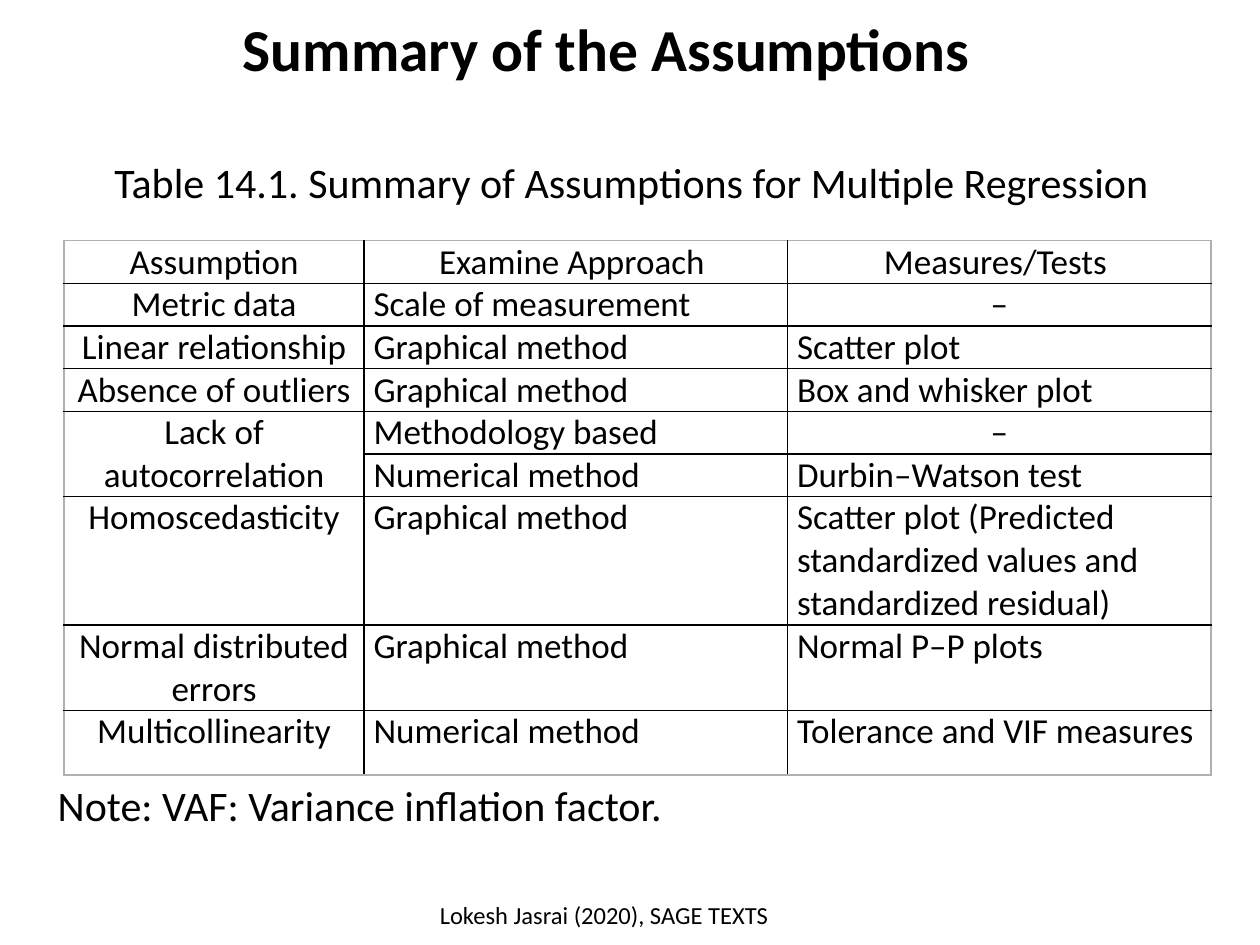
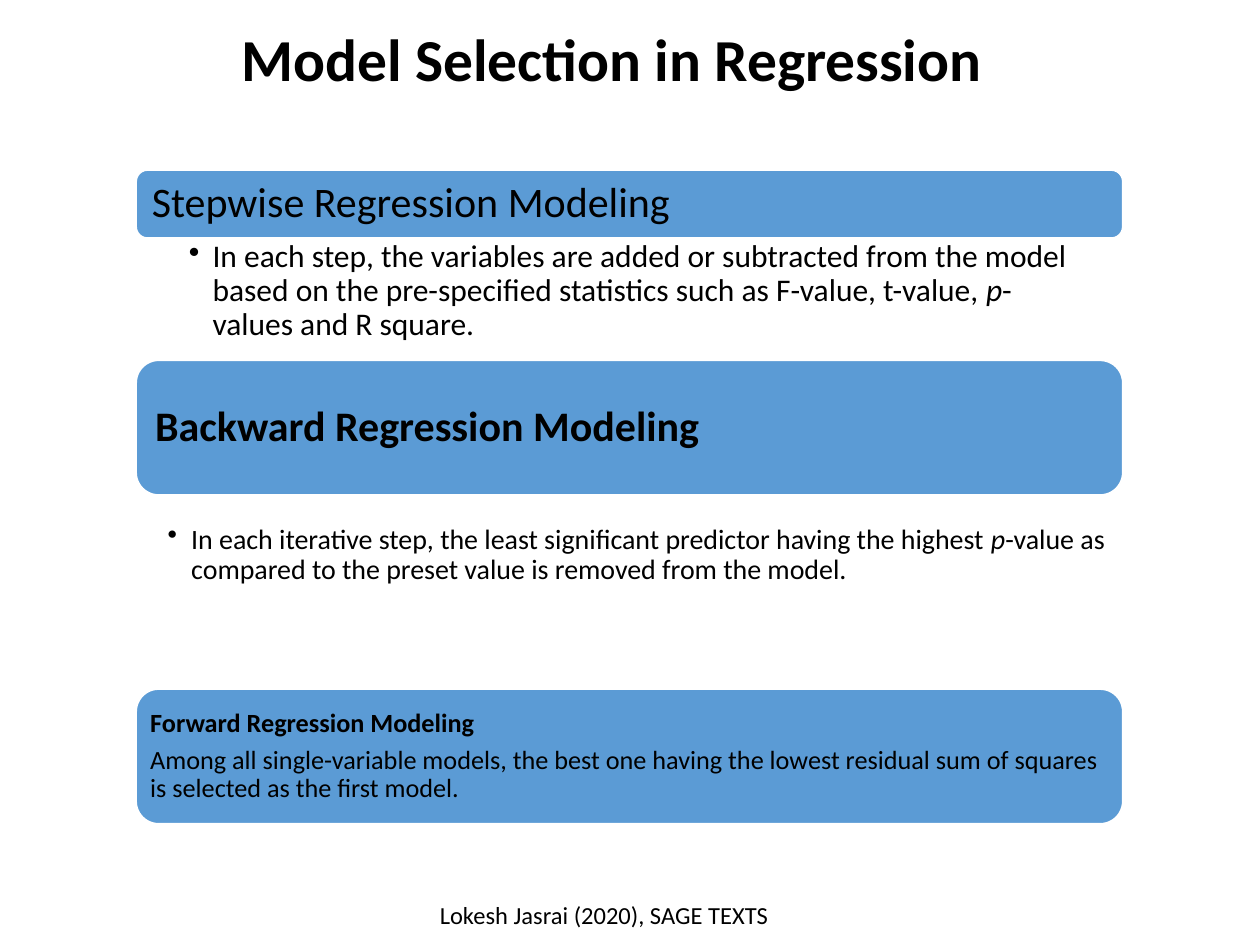
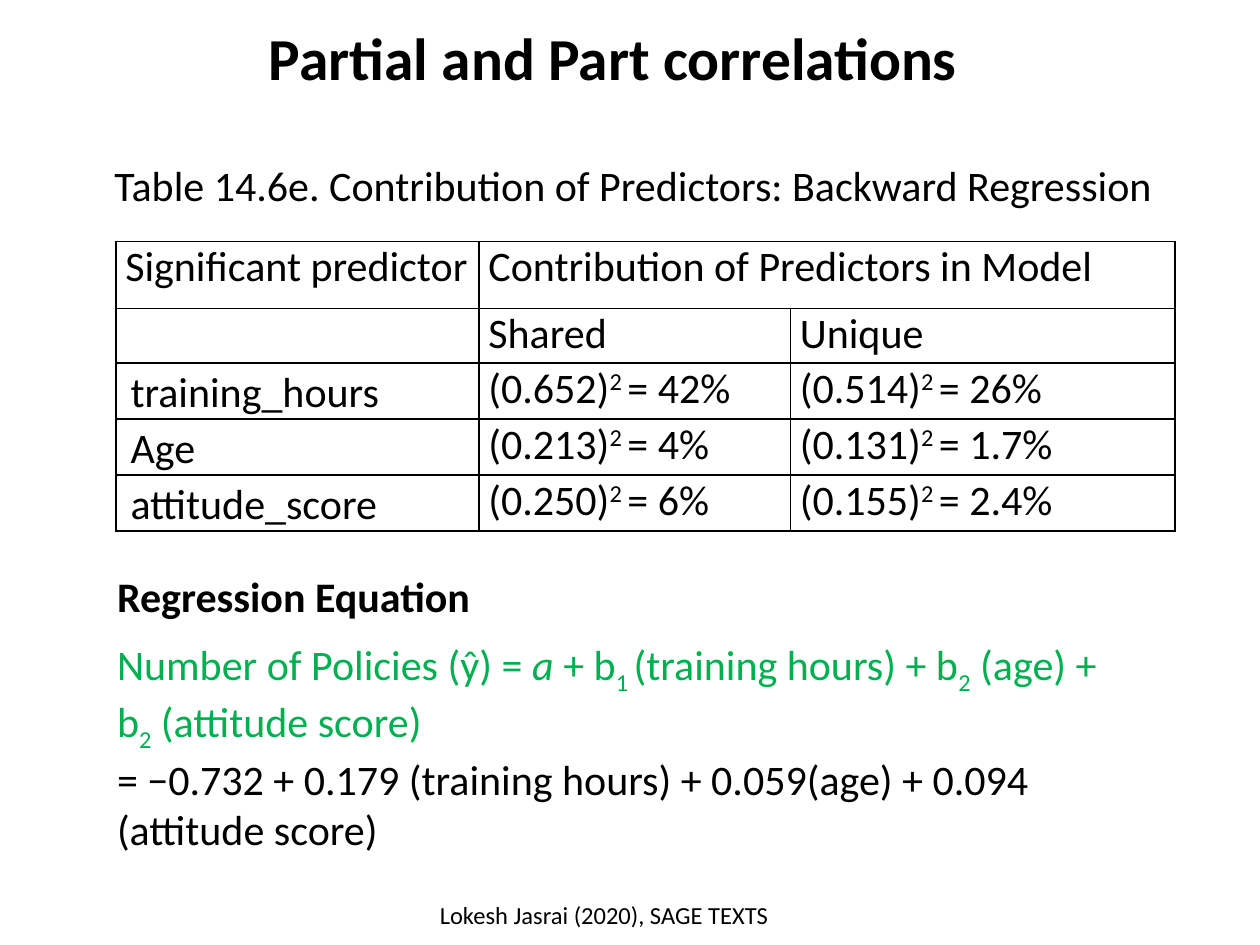
import lxml.etree
import pptx
import pptx.dml.color
import pptx.enum.shapes
import pptx.enum.text
import pptx.oxml.ns
import pptx.util

Pt = pptx.util.Pt
hue = pptx.dml.color.RGBColor.from_string
qn = pptx.oxml.ns.qn
align = pptx.enum.text.PP_ALIGN
BLACK, GREY, BLUE, GREEN, WHITE = "000000", "B0B0B0", "5B9BD5", "00B050", "FFFFFF"
SHIFT = {"+": "30000", "-": "-25000"}


def write(frame, lines, size, side=align.LEFT, gap=1.0, after=0, bullet=False):
    frame.word_wrap = True
    for n, line in enumerate(lines):
        para = frame.paragraphs[0] if n == 0 else frame.add_paragraph()
        if bullet:
            props = para._p.get_or_add_pPr()
            props.set("marL", str(Pt(13.5)))
            props.set("indent", str(-Pt(13.5)))
            lxml.etree.SubElement(props, qn("a:buChar")).set("char", "•")
        para.alignment = side
        para.line_spacing = gap
        para.space_after = Pt(after)
        for k, part in enumerate(line.split("|")):
            style, text = (part[0], part[1:]) if k % 2 else ("", part)
            if not text:
                continue
            run = para.add_run()
            run.text = text
            run.font.name = "Calibri"
            run.font.size = Pt(size)
            run.font.color.rgb = hue(BLACK)
            if style == "b":
                run.font.bold = True
            if style == "i":
                run.font.italic = True
            if style in SHIFT:
                run._r.get_or_add_rPr().set("baseline", SHIFT[style])


def label(slide, area, lines, size, **look):
    box = slide.shapes.add_textbox(*map(Pt, area))
    write(box.text_frame, lines, size, **look)
    return box.text_frame


deck = pptx.Presentation()
deck.slide_width, deck.slide_height = Pt(720), Pt(540)

titles = [
    ("Summary of the Assumptions ", (59.8, 8, 581, 44)),
    ("Model Selection in Regression", (57.6, 13.7, 584, 45)),
    ("Partial and Part correlations ", (66.2, 13, 576, 45)),
]
for title, area in titles:
    slide = deck.slides.add_slide(deck.slide_layouts[6])
    label(slide, area, [f"|b{title}|"], 34, side=align.CENTER, gap=0.9)
    label(slide, (216.7, 510.5, 257, 28.8), ["Lokesh Jasrai (2020), SAGE TEXTS"], 14, side=align.CENTER)
tests, models, parts = deck.slides

label(tests, (58.3, 85.7, 611.3, 36), ["Table 14.1. Summary of Assumptions for Multiple Regression"], 24)
label(tests, (25.9, 442, 363, 36), ["Note: VAF: Variance inflation factor."], 24)

checks = [
    ["Assumption", "Examine Approach ", "Measures/Tests "],
    ["Metric data", "Scale of measurement", "–"],
    ["Linear relationship", "Graphical method", "Scatter plot"],
    ["Absence of outliers", "Graphical method", "Box and whisker plot"],
    ["Lack of autocorrelation", "Methodology based", "–"],
    ["", "Numerical method", "Durbin–Watson test"],
    ["Homoscedasticity", "Graphical method", "Scatter plot (Predicted standardized values and standardized residual)"],
    ["Normal distributed errors", "Graphical method", "Normal P–P plots"],
    ["Multicollinearity", "Numerical method", "Tolerance and VIF measures"],
]
shares = [
    ["Significant predictor", "Contribution of Predictors in Model ", ""],
    ["", "Shared", "Unique"],
    ["training_hours", "(0.652)|+2 |= 42%", "(0.514)|+2 |= 26%"],
    ["Age", "(0.213)|+2 |= 4%", "(0.131)|+2 |= 1.7%"],
    ["attitude_score", "(0.250)|+2 |= 6%", "(0.155)|+2 |= 2.4%"],
]
grids = [
    (tests, checks, (36.6, 137.5), [171.5, 242, 242], [24.4] * 6 + [73.4, 48.9, 36.7], 20, GREY, (4, 0, 5, 0)),
    (parts, shares, (66.2, 138), [207.5, 178, 219.8], [38.2, 31.4] + [32] * 3, 24, BLACK, (0, 1, 0, 2)),
]
for slide, rows, (left, top), wides, highs, size, edge, (r1, c1, r2, c2) in grids:
    frame = slide.shapes.add_table(len(rows), 3, Pt(left), Pt(top), Pt(sum(wides)), Pt(sum(highs)))
    table = frame.table
    table.first_row = table.horz_banding = False
    for col, wide in zip(table.columns, wides):
        col.width = Pt(wide)
    for row, high in zip(table.rows, highs):
        row.height = Pt(high)
    table.cell(r1, c1).merge(table.cell(r2, c2))
    for r, row in enumerate(rows):
        for c, text in enumerate(row):
            cell = table.cell(r, c)
            cell.margin_left = cell.margin_right = Pt(5.4)
            cell.margin_top = cell.margin_bottom = 0
            side, gap = align.JUSTIFY, 1.0
            if rows is checks:
                middle = r == 0 or c == 0 or text == "–"
                side = align.CENTER if middle else align.LEFT
            elif c == 0 and r > 1:
                side, gap = align.LEFT, Pt(16)
                cell.margin_left, cell.margin_top = Pt(8.4), Pt(16)
            write(cell.text_frame, [text], size, side=side, gap=gap)
            outer = {"L": c == 0, "R": c == 2, "T": r == 0, "B": r == len(rows) - 1}
            for name, rim in outer.items():
                line = lxml.etree.SubElement(cell._tc.get_or_add_tcPr(), qn(f"a:ln{name}"))
                line.set("w", str(Pt(1)))
                fill = lxml.etree.SubElement(line, qn("a:solidFill"))
                lxml.etree.SubElement(fill, qn("a:srgbClr")).set("val", edge if rim else BLACK)
            cell.fill.background()

bars = [
    (97.2, 38.9, ["Stepwise Regression Modeling"], 24, 7.2, 8),
    (205.9, 77, ["|bBackward Regression Modeling|"], 24, 7.2, 8),
    (393.8, 77, [
        "|bForward Regression Modeling|",
        "Among all single-variable models, the best one having the lowest residual sum of squares is selected as the first model.",
    ], 15, 4.3, 5),
]
for top, high, lines, size, pad, after in bars:
    bar = models.shapes.add_shape(
        pptx.enum.shapes.MSO_SHAPE.ROUNDED_RECTANGLE, Pt(77.8), Pt(top), Pt(563.8), Pt(high))
    bar.shadow.inherit = False
    bar.fill.solid()
    bar.fill.fore_color.rgb = hue(BLUE)
    bar.line.color.rgb = hue(WHITE)
    bar.line.width = Pt(1)
    body = bar.text_frame
    body.vertical_anchor = pptx.enum.text.MSO_ANCHOR.MIDDLE
    body.margin_left = body.margin_right = body.margin_top = body.margin_bottom = Pt(pad)
    write(body, lines, size, gap=0.9, after=after)

notes = [
    ((90, 135.4, 540, 65.5), 18, 2, 10,
     "In each step, the variables are added or subtracted from the model based on the pre-specified statistics such as F-value, t-value, |ip|-values and R square."),
    ((77.8, 278, 563.8, 116), 16, 22, 8.6,
     "In each iterative step, the least significant predictor having the highest |ip|-value as compared to the preset value is removed from the model."),
]
for area, size, head, right, text in notes:
    body = label(models, area, [text], size, gap=0.9, bullet=True)
    body.margin_left, body.margin_right = Pt(18), Pt(right)
    body.margin_top, body.margin_bottom = Pt(head), Pt(2)

label(parts, (58.3, 87.8, 612.7, 36), ["Table 14.6e. Contribution of Predictors: Backward Regression"], 24)
label(parts, (59.8, 322.6, 219, 36), ["|bRegression Equation|"], 24)
sums = label(parts, (59.8, 361.4, 588.2, 124), [
    "Number of Policies (ŷ) = |ia |+ b|-1 |(training hours) + b|-2| (age) + b|-2| (attitude score)",
    "= −0.732 + 0.179 (training hours) + 0.059(age) + 0.094 (attitude score)",
], 24)
for run in sums.paragraphs[0].runs:
    run.font.color.rgb = hue(GREEN)

deck.save("out.pptx")
